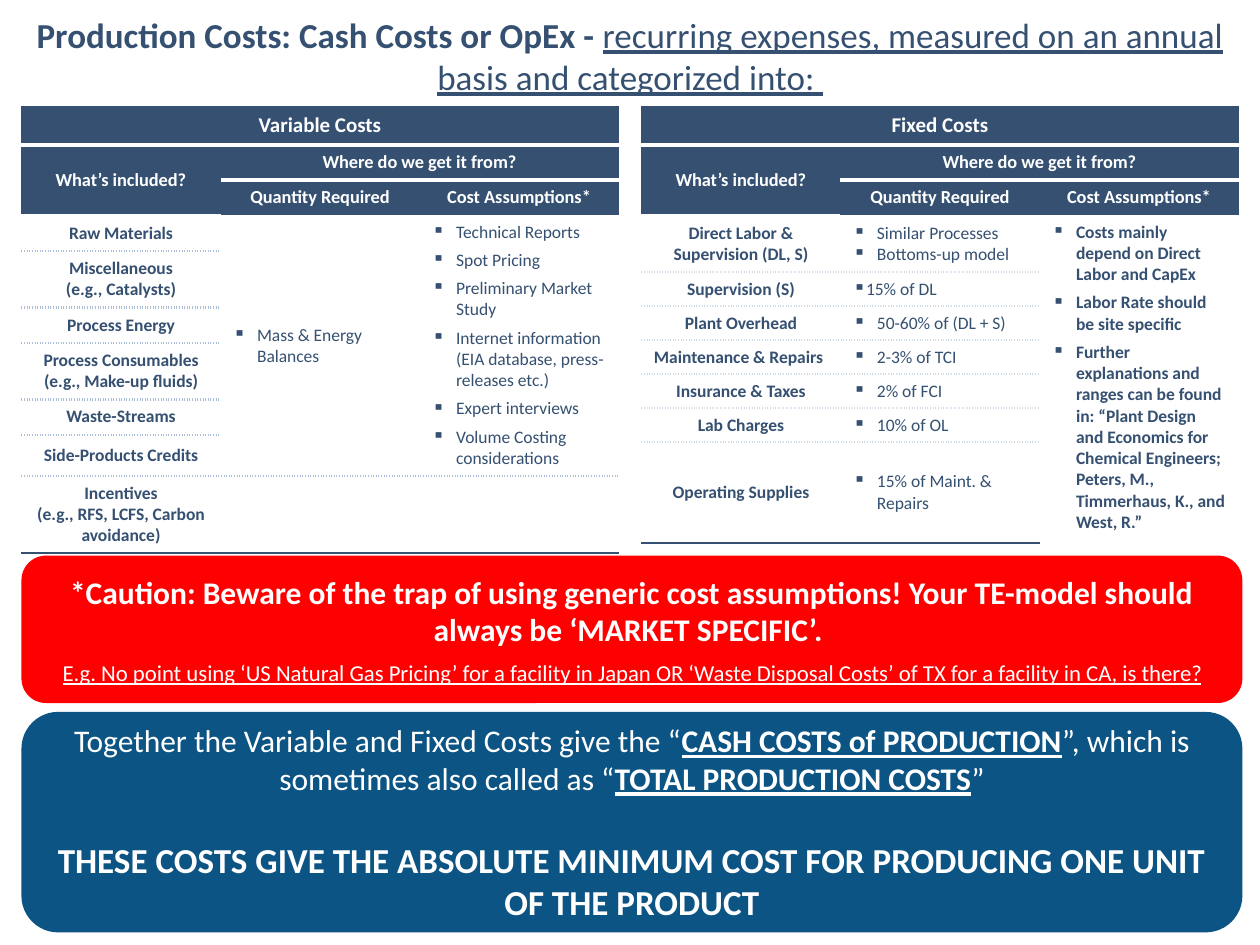
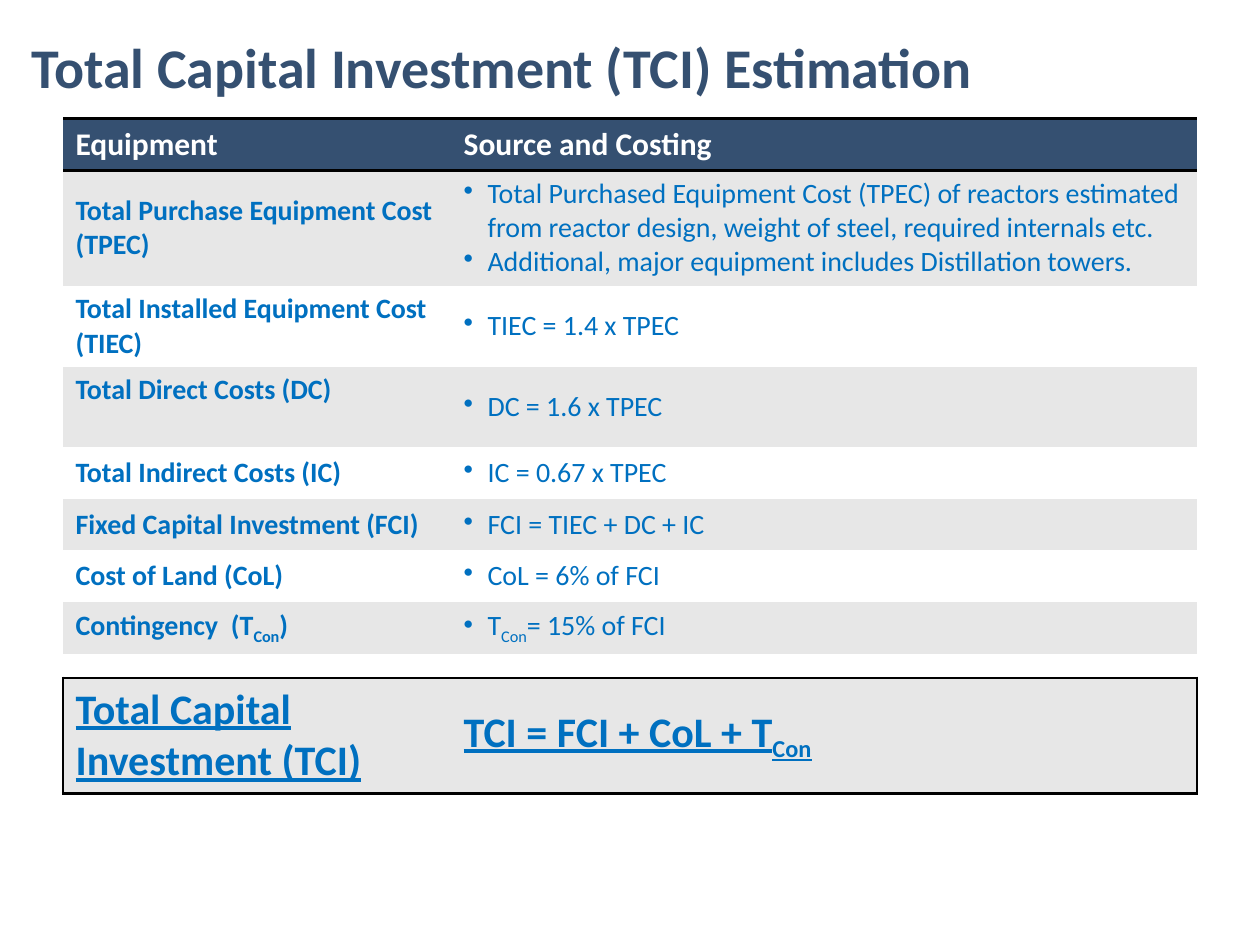
from dataclasses import dataclass, field
from typing import Optional

from lxml.etree import SubElement
from pptx import Presentation
from pptx.dml.color import RGBColor
from pptx.enum.shapes import MSO_SHAPE
from pptx.enum.text import MSO_ANCHOR, PP_ALIGN
from pptx.oxml.ns import qn
from pptx.util import Inches, Pt

FONT = "Calibri"
NAVY, BLUE, DEEP_BLUE, RED = "355071", "0070C0", "0B5484", "FF0000"
WHITE, BLACK, GREY = "FFFFFF", "000000", "E7E7E7"
NO_STYLE_NO_GRID = "{2D5ABB26-0587-4C30-8999-92F81FD0307C}"
BULLET_INDENT = 0.19
LEFT, CENTER = PP_ALIGN.LEFT, PP_ALIGN.CENTER
TOP, MIDDLE = MSO_ANCHOR.TOP, MSO_ANCHOR.MIDDLE


@dataclass
class Span:
    text: str
    size: float
    color: str
    bold: bool = False
    underline: bool = False
    subscript: bool = False


@dataclass
class Para:
    spans: list[Span]
    align: PP_ALIGN = LEFT
    bullet: str = ""
    margin: float = BULLET_INDENT
    before: float = 0
    after: float = 0
    line_spacing: float = 1.0


@dataclass
class Line:
    color: str
    width: float
    dash: str = "solid"


@dataclass
class Cell:
    paras: list[Para] = field(default_factory=list)
    fill: str = WHITE
    anchor: MSO_ANCHOR = MIDDLE
    rows: int = 1
    columns: int = 1
    left: Optional[Line] = None
    right: Optional[Line] = None
    top: Optional[Line] = None
    bottom: Optional[Line] = None


Cells = dict[tuple[int, int], Cell]


@dataclass
class CostTable:
    title: str
    left: float
    rule_color: str
    row_heights: list[float]
    labels: list[list[Para]]
    details: Cells


def rgb(color: str) -> RGBColor:
    return RGBColor.from_string(color)


def write_text(frame, paras: list[Para]) -> None:
    frame.word_wrap = True
    for index, spec in enumerate(paras):
        para = frame.paragraphs[0] if index == 0 else frame.add_paragraph()
        para.alignment = spec.align
        para.line_spacing = spec.line_spacing
        para.space_before, para.space_after = Pt(spec.before), Pt(spec.after)
        if spec.bullet:
            properties = para._p.get_or_add_pPr()
            properties.set("marL", str(Inches(spec.margin)))
            properties.set("indent", str(-Inches(BULLET_INDENT)))
            SubElement(properties, qn("a:buChar")).set("char", spec.bullet)
        for piece in spec.spans:
            span = para.add_run()
            span.text = piece.text
            font = span.font
            font.name, font.size, font.bold = FONT, Pt(piece.size), piece.bold
            font.underline = piece.underline
            font.color.rgb = rgb(piece.color)
            if piece.subscript:
                font._element.set("baseline", "-25000")


def draw_edges(cell, edges: dict[str, Optional[Line]]) -> None:
    """Edges are keyed L, R, T, B, in the order the schema asks for."""
    properties = cell._tc.get_or_add_tcPr()
    for side, line in edges.items():
        if line is None:
            continue
        edge = SubElement(properties, qn(f"a:ln{side}"), w=str(Pt(line.width)))
        fill = SubElement(edge, qn("a:solidFill"))
        SubElement(fill, qn("a:srgbClr"), val=line.color)
        SubElement(edge, qn("a:prstDash"), val=line.dash)


def draw_table(page, left: float, top: float, widths: list[float],
               heights: list[float], cells: Cells) -> None:
    frame = page.shapes.add_table(len(heights), len(widths), Inches(left), Inches(top),
                                  Inches(sum(widths)), Inches(sum(heights)))
    table = frame.table
    table.first_row = table.horz_banding = False
    table._tbl.tblPr.find(qn("a:tableStyleId")).text = NO_STYLE_NO_GRID
    for column, width in zip(table.columns, widths):
        column.width = Inches(width)
    for row, height in zip(table.rows, heights):
        row.height = Inches(height)
    for (row, column), spec in cells.items():
        last_row, last_column = row + spec.rows - 1, column + spec.columns - 1
        for r in range(row, last_row + 1):
            for c in range(column, last_column + 1):
                part = table.cell(r, c)
                draw_edges(part, {
                    "L": spec.left if c == column else None,
                    "R": spec.right if c == last_column else None,
                    "T": spec.top if r == row else None,
                    "B": spec.bottom if r == last_row else None,
                })
                part.fill.solid()
                part.fill.fore_color.rgb = rgb(spec.fill)
        cell = table.cell(row, column)
        if (last_row, last_column) != (row, column):
            cell.merge(table.cell(last_row, last_column))
        cell.vertical_anchor = spec.anchor
        if spec.paras:
            write_text(cell.text_frame, spec.paras)
        else:
            SubElement(cell.text_frame.paragraphs[0]._p, qn("a:endParaRPr"), sz="500")


def add_title(page, left: float, top: float, width: float, height: float, para: Para) -> None:
    box = page.shapes.add_textbox(Inches(left), Inches(top), Inches(width), Inches(height))
    box.text_frame.vertical_anchor = MIDDLE
    write_text(box.text_frame, [para])


def add_callout(page, top: float, height: float, color: str, paras: list[Para]) -> None:
    box = page.shapes.add_shape(MSO_SHAPE.ROUNDED_RECTANGLE, Inches(0.17), Inches(top),
                                Inches(9.69), Inches(height))
    box.shadow.inherit = False
    box.fill.solid()
    box.fill.fore_color.rgb = rgb(color)
    box.line.fill.background()
    box.text_frame.vertical_anchor = MIDDLE
    write_text(box.text_frame, paras)


def label(text: str, align: PP_ALIGN = CENTER) -> list[Para]:
    return [Para([Span(line, 10, NAVY, bold=True)], align) for line in text.split("\n")]


def squares(*lines: str, bold: bool = False, after: float = 0,
            margin: float = BULLET_INDENT) -> list[Para]:
    return [Para([Span(line, 10, NAVY, bold)], bullet="▪", after=after, margin=margin)
            for line in lines]


def heading(text: str, size: float = 10.5, **options) -> Cell:
    return Cell([Para([Span(text, size, WHITE, bold=True)], CENTER)], NAVY,
                **{"anchor": TOP, **options})


def draw_cost_table(page, spec: CostTable) -> None:
    gap = Line(WHITE, 2.25)
    dots = Line(spec.rule_color, 1.5, "sysDot")
    first, last = 3, len(spec.row_heights) - 1
    cells = {
        (0, 0): heading(spec.title, 12, columns=3, bottom=gap),
        (1, 0): heading("What’s included?", anchor=MIDDLE, rows=2, top=gap),
        (1, 1): heading("Where do we get it from?", columns=2, top=gap),
        (2, 1): heading("Quantity Required"),
        (2, 2): heading("Cost Assumptions*"),
    }
    body = {(first + i, 0): Cell(paras) for i, paras in enumerate(spec.labels)}
    body.update(spec.details)
    for (row, _), cell in body.items():
        cell.top = dots if row > first else None
        cell.bottom = Line(NAVY, 1.5) if row + cell.rows > last else dots
    draw_table(page, spec.left, 0.84, [1.58] * 3, spec.row_heights, cells | body)


VARIABLE_COSTS = CostTable(
    "Variable Costs", 0.17, "AABED7",
    [0.31, 0.28, 0.28, 0.28, 0.45, 0.28, 0.45, 0.28, 0.33, 0.61],
    [label(text) for text in (
        "Raw Materials", "Miscellaneous\n(e.g., Catalysts)", "Process Energy",
        "Process Consumables\n(e.g., Make-up fluids)", "Waste-Streams",
        "Side-Products Credits", "Incentives\n(e.g., RFS, LCFS, Carbon avoidance)")],
    {
        (3, 1): Cell(squares("Mass & Energy Balances"), rows=6),
        (3, 2): Cell(squares(
            "Technical Reports", "Spot Pricing", "Preliminary Market Study",
            "Internet information (EIA database, press-releases etc.)",
            "Expert interviews", "Volume Costing considerations", after=4),
            anchor=TOP, rows=6),
        (9, 1): Cell(),
        (9, 2): Cell(),
    })

FIXED_COSTS = CostTable(
    "Fixed Costs", 5.09, "D0DBE9",
    [0.31, 0.28, 0.28, 0.45] + [0.27] * 5 + [0.8],
    [label("Direct Labor & Supervision (DL, S)"), label("Supervision (S)"),
     label("Plant Overhead"), label("Maintenance & Repairs", LEFT),
     label("Insurance & Taxes"), label("Lab Charges"), label("Operating Supplies")],
    {(3 + i, 1): Cell(paras) for i, paras in enumerate([
        squares("Similar Processes", "Bottoms-up model"),
        squares("15% of DL", margin=0),
        squares("50-60% of (DL + S)"), squares("2-3% of TCI"), squares("2% of FCI"),
        squares("10% of OL"), squares("15% of Maint. & Repairs")])}
    | {(3, 2): Cell(squares(
        "Costs mainly depend on Direct Labor and CapEx",
        "Labor Rate should be site specific",
        "Further explanations and ranges can be found in: “Plant Design and Economics for "
        "Chemical Engineers; Peters, M., Timmerhaus, K., and West, R.”",
        bold=True, after=4), anchor=TOP, rows=7)})


def build_production_costs(page) -> None:
    add_title(page, 0.17, 0.1, 9.66, 0.68, Para([
        Span("Production Costs: Cash Costs or OpEx - ", 20, NAVY, bold=True),
        Span("recurring expenses, measured on an annual basis and categorized into:",
             20, NAVY, underline=True),
        Span(" ", 20, NAVY, bold=True, underline=True)], CENTER))
    draw_cost_table(page, VARIABLE_COSTS)
    draw_cost_table(page, FIXED_COSTS)
    add_callout(page, 4.41, 1.17, RED, [
        Para([Span("*Caution: Beware of the trap of using generic cost assumptions! Your "
                   "TE-model should always be ‘MARKET SPECIFIC’. ", 18, WHITE, bold=True)],
             CENTER, after=6),
        Para([Span("E.g. No point using ‘US Natural Gas Pricing’ for a facility in Japan OR "
                   "‘Waste Disposal Costs’ of TX for a facility in CA, is there?",
                   13, WHITE, underline=True)], CENTER, after=6)])
    add_callout(page, 5.65, 1.75, DEEP_BLUE, [
        Para([Span("Together the Variable and Fixed Costs give the “", 18, WHITE),
              Span("CASH COSTS of PRODUCTION", 18, WHITE, bold=True, underline=True),
              Span("”, which is sometimes also called as “", 18, WHITE),
              Span("TOTAL PRODUCTION COSTS", 18, WHITE, bold=True, underline=True),
              Span("”", 18, WHITE)], CENTER),
        Para([Span("THESE COSTS GIVE THE ABSOLUTE MINIMUM COST FOR PRODUCING ONE UNIT "
                   "OF THE PRODUCT", 20, WHITE, bold=True)], CENTER, before=24)])


def with_subscript(text: str, size: float = 16, **options) -> list[Span]:
    """Lower every "Con" that follows a T."""
    before, mark, after = text.partition("TCon")
    pieces = [(before + "T", False), ("Con", True), (after, False)] if mark else [(text, False)]
    return [Span(piece, size, BLUE, subscript=low, **options) for piece, low in pieces if piece]


INVESTMENT_ROWS = [
    ("Total Purchase Equipment Cost (TPEC)", [
        "Total Purchased Equipment Cost (TPEC) of reactors estimated from reactor design, "
        "weight of steel, required internals etc.",
        "Additional, major equipment includes Distillation towers."]),
    ("Total Installed Equipment Cost (TIEC)", ["TIEC = 1.4 x TPEC"]),
    ("Total Direct Costs (DC)", ["DC = 1.6 x TPEC"]),
    ("Total Indirect Costs (IC)", ["IC = 0.67 x TPEC"]),
    ("Fixed Capital Investment (FCI)", ["FCI = TIEC + DC + IC"]),
    ("Cost of Land (CoL)", ["CoL = 6% of FCI"]),
    ("Contingency  (TCon)", ["TCon= 15% of FCI"]),
]


def build_capital_investment(page) -> None:
    thick, frame = Line(BLACK, 2), Line(BLACK, 1.5)
    cells: Cells = {}
    for column, text in enumerate(["Equipment", "Source and Costing"]):
        cells[0, column] = Cell([Para([Span(text, 18, WHITE, bold=True)])], NAVY,
                                top=thick, bottom=thick)
    for row, (item, sources) in enumerate(INVESTMENT_ROWS, start=1):
        fill = GREY if row % 2 else WHITE
        anchor = TOP if item == "Total Direct Costs (DC)" else MIDDLE
        cells[row, 0] = Cell([Para(with_subscript(item, bold=True))], fill, anchor)
        cells[row, 1] = Cell([Para(with_subscript(line), bullet="•") for line in sources], fill)
    for column, text in enumerate(["Total Capital Investment (TCI)", "TCI = FCI + CoL + TCon"]):
        cells[8, column] = Cell(bottom=frame)
        cells[9, column] = Cell([Para(with_subscript(text, 24, bold=True, underline=True))],
                                GREY, top=frame, bottom=frame)
    cells[9, 0].left = cells[9, 1].right = frame
    draw_table(page, 0.5, 0.94, [3.08, 5.92],
               [0.41, 0.92, 0.64, 0.64] + [0.41] * 4 + [0.19, 0.92], cells)
    add_title(page, 0.15, 0.18, 9.75, 0.76, Para(
        [Span("Total Capital Investment (TCI) Estimation", 32, NAVY, bold=True)],
        line_spacing=0.9))


def main() -> None:
    deck = Presentation()
    deck.slide_width, deck.slide_height = Inches(10), Inches(7.5)
    for build in (build_production_costs, build_capital_investment):
        build(deck.slides.add_slide(deck.slide_layouts[6]))
    deck.save("out.pptx")


if __name__ == "__main__":
    main()
